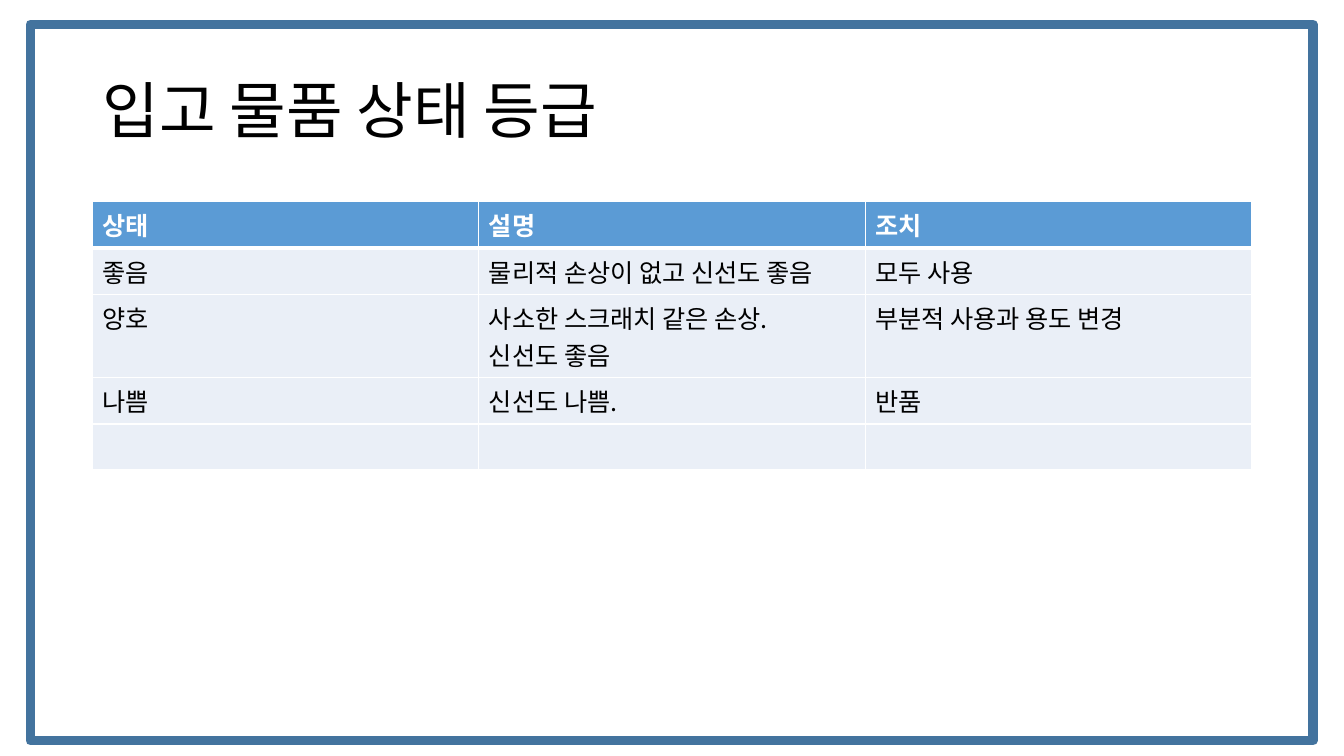
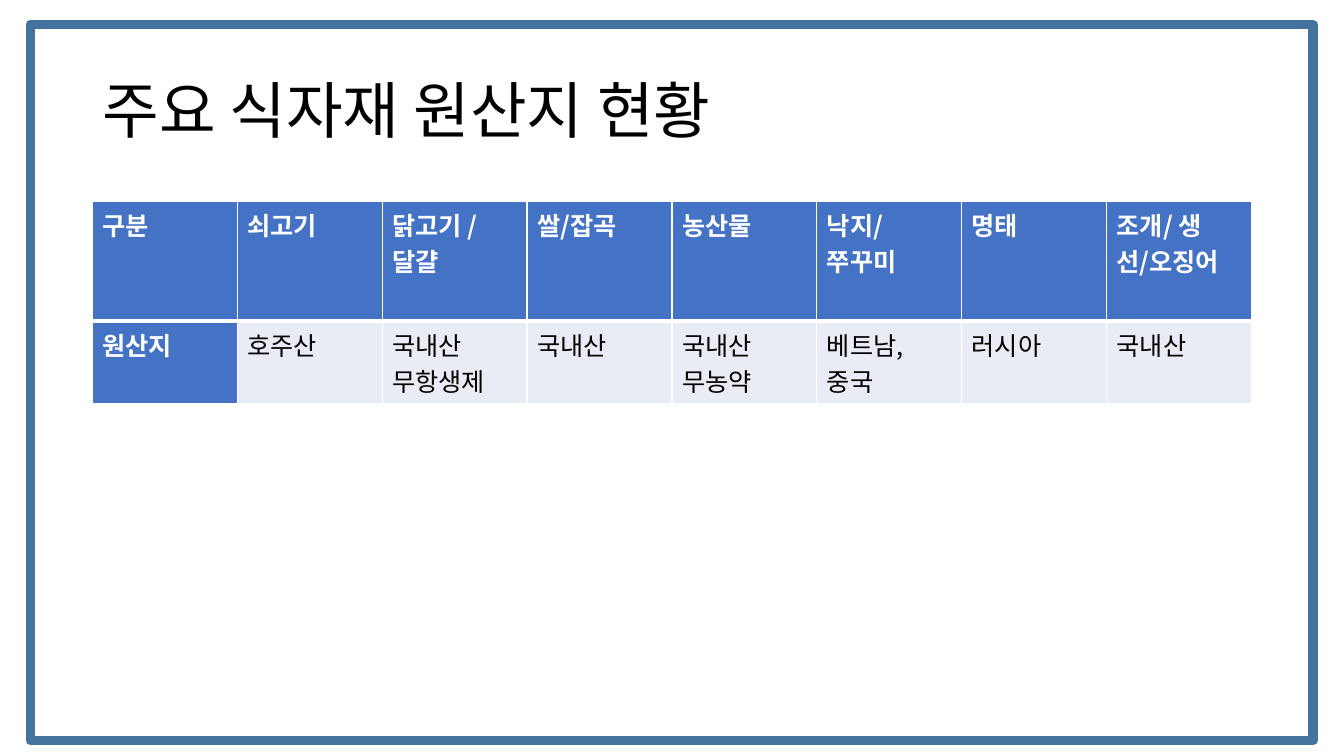
from dataclasses import dataclass

from lxml.etree import SubElement
from pptx import Presentation
from pptx.dml.color import RGBColor
from pptx.enum.shapes import MSO_SHAPE
from pptx.enum.text import MSO_ANCHOR, PP_ALIGN
from pptx.oxml.ns import qn
from pptx.util import Cm, Pt


@dataclass(frozen=True)
class Theme:
    font: str = "Noto Sans CJK KR"
    title_size: int = 44
    cell_size: int = 18
    frame: str = "43739E"
    text: str = "000000"
    white: str = "FFFFFF"
    grade_head: str = "5B9BD5"
    grade_body: str = "EAEFF7"
    origin_head: str = "4472C4"
    origin_body: str = "E9EBF5"
    frame_line: float = 6.5
    thin_line: int = 1
    thick_line: int = 3


THEME = Theme()
LEFT, WIDTH = Cm(2.33), Cm(29.21)
TABLE_TOP, ROW_HEIGHT = Cm(5.07), Cm(1.16)

GRADES = [
    ["상태", "설명", "조치"],
    ["좋음", "물리적 손상이 없고 신선도 좋음", "모두 사용"],
    ["양호", "사소한 스크래치 같은 손상.\v신선도 좋음", "부분적 사용과 용도 변경"],
    ["나쁨", "신선도 나쁨.", "반품"],
    ["", "", ""],
]
ORIGINS = [
    ["구분", "쇠고기", "닭고기 / 달걀", "쌀/잡곡", "농산물", "낙지/\n쭈꾸미", "명태",
     "조개/ 생선/오징어"],
    ["원산지", "호주산", "국내산\n무항생제", "국내산", "국내산\n무농약", "베트남,\n중국",
     "러시아", "국내산"],
]


def format_text(text_frame, size, color, bold=False):
    for paragraph in text_frame.paragraphs:
        for span in paragraph.runs:
            span.font.size = Pt(size)
            span.font.bold = bold
            span.font.color.rgb = RGBColor.from_string(color)
            span.font.name = THEME.font
            SubElement(span._r.get_or_add_rPr(), qn("a:ea"), typeface=THEME.font)


def add_frame(layout, page):
    frame = page.shapes.add_shape(
        MSO_SHAPE.RECTANGLE, Cm(0.76), Cm(0.61), Cm(32.33), Cm(18.06))
    frame.shadow.inherit = False
    frame.fill.background()
    frame.line.color.rgb = RGBColor.from_string(THEME.frame)
    frame.line.width = Pt(THEME.frame_line)
    layout.shapes.element.insert(2, frame.element)


def place_title(layout):
    title = next(box for box in layout.placeholders if box.placeholder_format.idx == 0)
    title.left, title.top, title.width, title.height = LEFT, Cm(1.01), WIDTH, Cm(3.68)


def set_title(page, text):
    text_frame = page.shapes.title.text_frame
    text_frame.text = text
    text_frame.vertical_anchor = MSO_ANCHOR.MIDDLE
    text_frame.paragraphs[0].alignment = PP_ALIGN.LEFT
    text_frame.paragraphs[0].line_spacing = 0.9
    format_text(text_frame, THEME.title_size, THEME.text)


def set_borders(cell, top, bottom):
    widths = {"L": THEME.thin_line, "R": THEME.thin_line, "T": top, "B": bottom}
    properties = cell._tc.get_or_add_tcPr()
    for side, width in widths.items():
        line = SubElement(properties, qn(f"a:ln{side}"), w=str(Pt(width)))
        fill = SubElement(line, qn("a:solidFill"))
        SubElement(fill, qn("a:srgbClr"), val=THEME.white)


def add_table(page, rows, head_fill, body_fill, head_column=False):
    columns = len(rows[0])
    table = page.shapes.add_table(
        len(rows), columns, LEFT, TABLE_TOP, WIDTH, ROW_HEIGHT * len(rows)).table
    table.horz_banding = False
    table.first_col = head_column
    for row_index, row in enumerate(rows):
        for column_index, text in enumerate(row):
            is_head = row_index == 0 or (head_column and column_index == 0)
            cell = table.cell(row_index, column_index)
            set_borders(
                cell,
                THEME.thick_line if row_index == 1 else THEME.thin_line,
                THEME.thick_line if row_index == 0 else THEME.thin_line)
            cell.fill.solid()
            cell.fill.fore_color.rgb = RGBColor.from_string(head_fill if is_head else body_fill)
            cell.text_frame.text = text
            format_text(cell.text_frame, THEME.cell_size,
                        THEME.white if is_head else THEME.text, is_head)


def add_page(deck, layout, title):
    page = deck.slides.add_slide(layout)
    set_title(page, title)
    return page


def main():
    deck = Presentation()
    deck.slide_width, deck.slide_height = Cm(33.87), Cm(19.05)
    layout = deck.slide_layouts.get_by_name("Title Only")
    place_title(layout)

    grades = add_page(deck, layout, "입고 물품 상태 등급")
    add_frame(layout, grades)
    add_table(grades, GRADES, THEME.grade_head, THEME.grade_body)

    origins = add_page(deck, layout, "주요 식자재 원산지 현황")
    add_table(origins, ORIGINS, THEME.origin_head, THEME.origin_body, head_column=True)

    deck.save("out.pptx")


if __name__ == "__main__":
    main()
